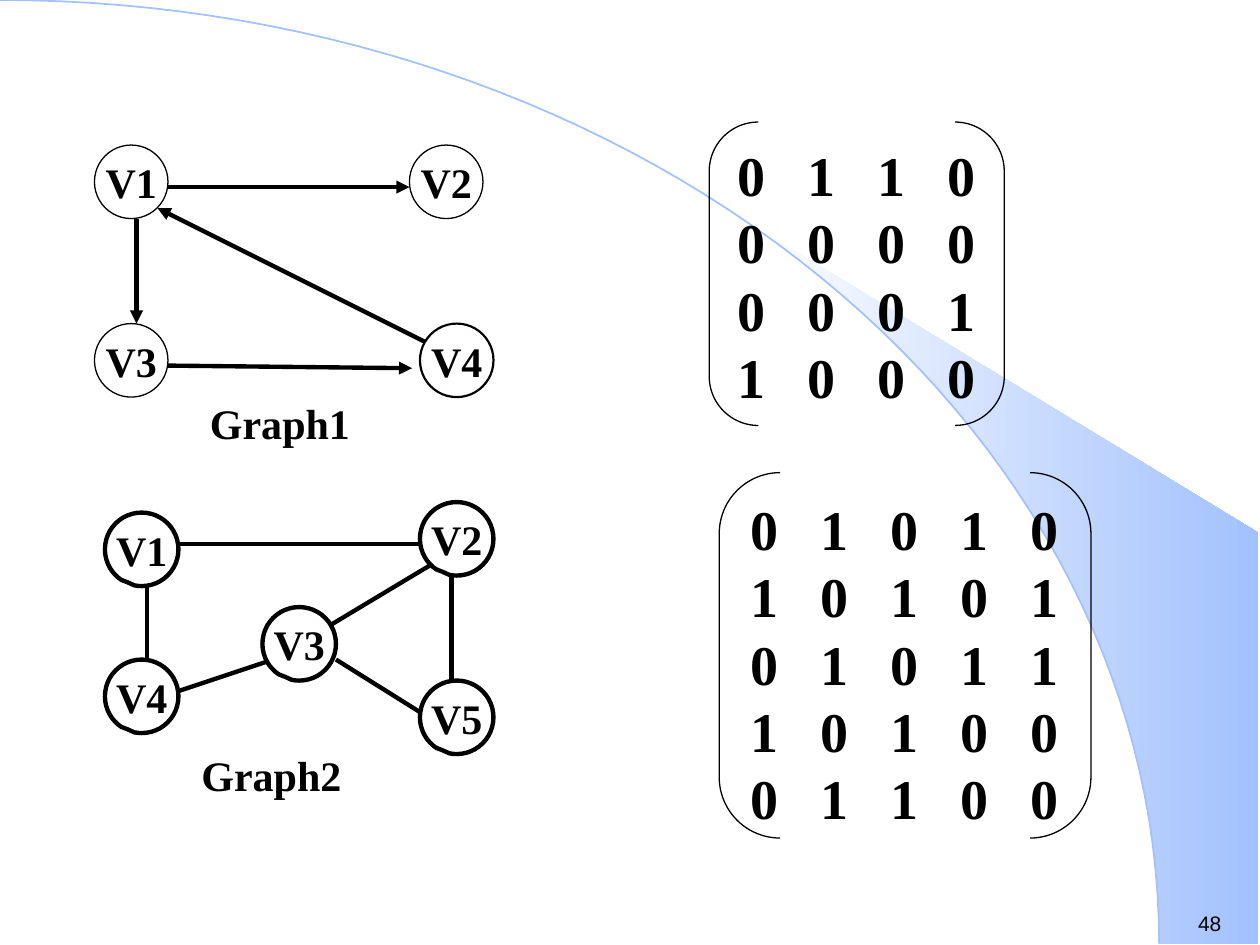
"""Build a slide showing two graphs beside their adjacency matrices."""
from dataclasses import dataclass
from math import asin, cos, pi, sin

from lxml.etree import SubElement
from pptx import Presentation
from pptx.dml.color import RGBColor
from pptx.enum.shapes import MSO_CONNECTOR, MSO_SHAPE as Preset
from pptx.enum.text import MSO_ANCHOR as Anchor, PP_ALIGN as Align
from pptx.oxml.ns import qn
from pptx.util import Inches, Pt

BLACK = RGBColor(0, 0, 0)
WHITE = RGBColor(255, 255, 255)
SKY = RGBColor(0xA2, 0xC1, 0xFE)
SERIF = "Times New Roman"
CELLS_PER_INCH = 12
ROW_SHIFT = -0.18
NODE_SIZE = 7
DIGIT_STEP = Inches(0.555)
ARC_WIDTH, ARC_HEIGHT, WEDGE_START = 9.2, 7.49, 5.89


@dataclass
class Node:
    name: str
    column: float
    row: float
    line_width: float = 0.75


@dataclass
class Edge:
    start: tuple[float, float]
    end: tuple[float, float]


@dataclass
class Label:
    text: str
    column: float
    row: float
    width: float
    height: float
    inset: tuple[float, float]


@dataclass
class Graph:
    nodes: list[Node]
    edges: list[Edge]
    label: Label
    directed: bool


@dataclass
class Matrix:
    rows: list[str]
    column: float
    row: float
    width: float
    height: float


GRAPHS = [
    Graph(
        [Node("V4", 40, 31, 1.25), Node("V3", 9, 31), Node("V2", 39, 14), Node("V1", 9, 14)],
        [Edge((13, 21), (13, 31)), Edge((16, 18), (39, 18)),
         Edge((16, 35), (39.25, 35.25)), Edge((41, 33), (15, 20))],
        Label("Graph1", 20, 38, 15, 4.8, (0, 0)),
        directed=True,
    ),
    Graph(
        [Node("V5", 40, 65, 2.5), Node("V1", 10, 49, 2.5), Node("V2", 40, 48, 2.5),
         Node("V3", 25, 58, 2.5), Node("V4", 10, 63, 2.5)],
        [Edge((14, 56), (14, 64)), Edge((17, 52), (40, 52)), Edge((43, 55), (43, 66)),
         Edge((40, 68), (32, 63)), Edge((41, 54), (31, 60)), Edge((26, 63), (17, 66))],
        Label("Graph2", 18, 71, 20, 6, (0.1, 0.05)),
        directed=False,
    ),
]
MATRICES = [
    Matrix(["0110", "0000", "0001", "1000"], 67.55, 11.8, 28.1, 28.9),
    Matrix(["01010", "10101", "01011", "10100", "01100"], 68.5, 45.2, 35.4, 34.8),
]


def across(cells: float) -> int:
    """Turn a count of grid cells into a length."""
    return Inches(cells / CELLS_PER_INCH)


def down(row: float) -> int:
    """Turn a grid row into a distance from the slide's top."""
    return across(row + ROW_SHIFT)


def set_insets(frame, left: float, top: float, right: float, bottom: float) -> None:
    """Set the four text margins in inches."""
    frame.margin_left, frame.margin_top = Inches(left), Inches(top)
    frame.margin_right, frame.margin_bottom = Inches(right), Inches(bottom)


def set_font(paragraph, name: str, size: float, bold: bool) -> None:
    """Format a whole paragraph in black."""
    font = paragraph.font
    font.name, font.size, font.bold = name, Pt(size), bold
    font.color.rgb = BLACK


def arc_points(first_angle: float, steps: int = 60) -> list[tuple[int, int]]:
    """Return points on the background arc, down to its right end."""
    angles = [first_angle + (pi / 2 - first_angle) * step / steps for step in range(steps + 1)]
    return [(Inches(ARC_WIDTH * sin(angle)), Inches(ARC_HEIGHT * (1 - cos(angle))))
            for angle in angles]


def draw_outline(slide, points: list[tuple[int, int]], close: bool):
    """Draw a freeform through the points."""
    builder = slide.shapes.build_freeform(*points[0], scale=1.0)
    builder.add_line_segments(points[1:], close=close)
    shape = builder.convert_to_shape()
    shape.shadow.inherit = False
    return shape


def draw_background(slide) -> None:
    """Draw the shaded wedge and the large arc."""
    corners = [(Inches(9.99), Inches(7.49)), (Inches(9.99), Inches(4.23))]
    wedge = draw_outline(slide, arc_points(asin(WEDGE_START / ARC_WIDTH)) + corners, True)
    wedge.line.fill.background()
    wedge.fill.gradient()
    wedge.fill.gradient_angle = 0
    for stop, color in zip(wedge.fill.gradient_stops, (WHITE, SKY)):
        stop.color.rgb = color
    arc = draw_outline(slide, arc_points(0), False)
    arc.fill.background()
    arc.line.color.rgb, arc.line.width = SKY, Pt(1)


def draw_edge(slide, edge: Edge, directed: bool) -> None:
    """Draw a graph edge, with an arrowhead when it is directed."""
    (start_column, start_row), (end_column, end_row) = edge.start, edge.end
    connector = slide.shapes.add_connector(
        MSO_CONNECTOR.STRAIGHT, across(start_column), down(start_row),
        across(end_column), down(end_row))
    connector.line.color.rgb, connector.line.width = BLACK, Pt(2.5)
    if directed:
        SubElement(connector.line._get_or_add_ln(), qn("a:tailEnd"), type="triangle")
    SubElement(connector._element.spPr, qn("a:effectLst"))


def draw_label(slide, label: Label) -> None:
    """Draw a graph's caption on white."""
    shape = slide.shapes.add_textbox(
        across(label.column), down(label.row), across(label.width), across(label.height))
    shape.fill.solid()
    shape.fill.fore_color.rgb = WHITE
    frame = shape.text_frame
    frame.word_wrap = True
    set_insets(frame, *label.inset, *label.inset)
    frame.text = label.text
    set_font(frame.paragraphs[0], SERIF, 24, True)


def draw_node(slide, node: Node, directed: bool) -> None:
    """Draw a named graph node."""
    preset = Preset.FLOWCHART_CONNECTOR if directed else Preset.OVAL_CALLOUT
    shape = slide.shapes.add_shape(
        preset, across(node.column), down(node.row), across(NODE_SIZE), across(NODE_SIZE))
    if not directed:
        shape.adjustments[0], shape.adjustments[1] = -0.19, 0.45
    shape.shadow.inherit = False
    shape.fill.solid()
    shape.fill.fore_color.rgb = WHITE
    shape.line.color.rgb, shape.line.width = BLACK, Pt(node.line_width)
    frame = shape.text_frame
    frame.word_wrap, frame.vertical_anchor = False, Anchor.MIDDLE
    frame.text = node.name
    frame.paragraphs[0].alignment = Align.CENTER
    set_font(frame.paragraphs[0], SERIF, 24, True)


def draw_matrix(slide, matrix: Matrix) -> None:
    """Draw a bracketed matrix with its digits on tab stops."""
    shape = slide.shapes.add_shape(
        Preset.DOUBLE_BRACKET, across(matrix.column), down(matrix.row),
        across(matrix.width), across(matrix.height))
    shape.shadow.inherit = False
    shape.fill.background()
    shape.line.color.rgb, shape.line.width = BLACK, Pt(0.75)
    frame = shape.text_frame
    frame.vertical_anchor = Anchor.TOP
    set_insets(frame, 0.11, 0.03, 0, 0)
    frame.text = "\n".join("\t".join(digits) for digits in matrix.rows)
    for paragraph, digits in zip(frame.paragraphs, matrix.rows):
        paragraph.alignment, paragraph.line_spacing = Align.LEFT, Pt(38.5)
        tabs = SubElement(paragraph._p.get_or_add_pPr(), qn("a:tabLst"))
        for stop in range(1, len(digits)):
            SubElement(tabs, qn("a:tab"), pos=str(stop * DIGIT_STEP), algn="l")
        set_font(paragraph, SERIF, 32, True)


def main() -> None:
    """Build and save the presentation."""
    presentation = Presentation()
    presentation.slide_width, presentation.slide_height = Inches(10), Inches(7.5)
    slide = presentation.slides.add_slide(presentation.slide_layouts[6])
    draw_background(slide)
    number = slide.shapes.add_textbox(Inches(9.41), Inches(7.18), Inches(0.59), Inches(0.3))
    number.text_frame.text = "48"
    set_font(number.text_frame.paragraphs[0], "Arial", 12, False)
    for graph in GRAPHS:
        for edge in graph.edges:
            draw_edge(slide, edge, graph.directed)
        draw_label(slide, graph.label)
        for node in graph.nodes:
            draw_node(slide, node, graph.directed)
    for matrix in MATRICES:
        draw_matrix(slide, matrix)
    presentation.save("out.pptx")


if __name__ == "__main__":
    main()
